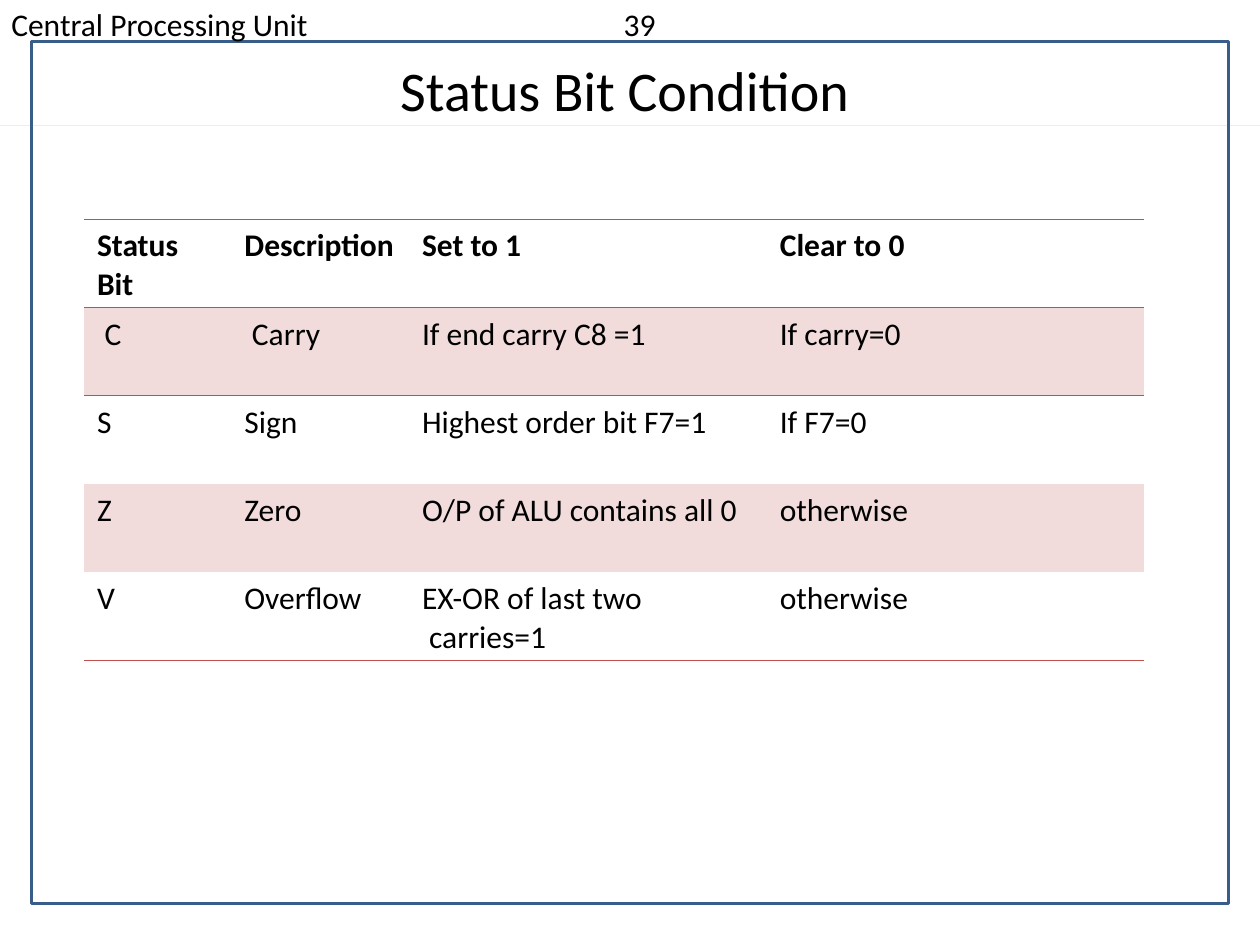
from lxml.etree import SubElement
from pptx import Presentation
from pptx.dml.color import RGBColor
from pptx.enum.shapes import MSO_SHAPE
from pptx.enum.text import PP_ALIGN
from pptx.oxml.ns import qn
from pptx.util import Emu, Inches, Pt

FONT = "Calibri"
BLACK, FRAME_BLUE, RULE_BLUE = "000000", "385D89", "497DBA"
RED, PINK = "C0504D", "F2DCDB"

# Frame edges shared by the border and the rules under the title
LEFT, RIGHT, TOP, BOTTOM = 0.25, 9.75, 0.33, 7.17
RULES = [(1.04, 1.05), (1.07, 1.10), (1.11, 1.13)]

COLUMNS = [1.01, 1.56, 2.78, 3.06]
INDENTS = [0.10, 0.26, 0.11, 0.17]
ROW_HEIGHT = 0.7
ROWS = [
    ["Status\nBit", "Description", "Set to 1", "Clear to 0"],
    ["C", "Carry", "If end carry C8 =1", "If carry=0"],
    ["S", "Sign", "Highest order bit F7=1", "If F7=0"],
    ["Z", "Zero", "O/P of ALU contains all 0", "otherwise"],
    ["V", "Overflow", "EX-OR of last two\v carries=1", "otherwise"],
]
CARRY_ROW, CARRY_SHIFT = 1, 0.06
# Row boundaries that carry a red line, counted from the table top
LINED = {0, 1, 2, len(ROWS)}


def color(hex_code):
    return RGBColor.from_string(hex_code)


def style(p, size, bold=False):
    p.font.name = FONT
    p.font.size = Pt(size)
    p.font.bold = bold
    p.font.color.rgb = color(BLACK)


def add_text(s, text, left, top, width, height, size, align=PP_ALIGN.LEFT):
    box = s.shapes.add_textbox(*map(Inches, (left, top, width, height)))
    tf = box.text_frame
    tf.word_wrap = True
    tf.margin_left = tf.margin_right = tf.margin_bottom = 0
    tf.margin_top = Inches(0.02)
    p = tf.paragraphs[0]
    p.text = text
    p.alignment = align
    style(p, size)


def add_frame(s):
    sp = s.shapes.add_shape(
        MSO_SHAPE.RECTANGLE,
        *map(Inches, (LEFT, TOP, RIGHT - LEFT, BOTTOM - TOP)))
    sp.shadow.inherit = False
    sp.fill.background()
    sp.line.color.rgb = color(FRAME_BLUE)
    sp.line.width = Pt(2)


def add_title_rules(s):
    builder = s.shapes.build_freeform(LEFT, RULES[0][0], scale=Inches(1))
    for top, bottom in RULES:
        builder.move_to(LEFT, top)
        builder.add_line_segments(
            [(LEFT, bottom), (RIGHT, bottom), (RIGHT, top)], close=True)
    sp = builder.convert_to_shape()
    sp.shadow.inherit = False
    sp.fill.solid()
    sp.fill.fore_color.rgb = color(RULE_BLUE)
    sp.line.fill.background()


def set_borders(cell, row):
    lined = {"lnT": row in LINED, "lnB": row + 1 in LINED}
    tcPr = cell._tc.get_or_add_tcPr()
    for i, side in enumerate(("lnL", "lnR", "lnT", "lnB")):
        ln = SubElement(tcPr, qn(f"a:{side}"), w=str(Pt(1)))
        if lined.get(side):
            fill = SubElement(ln, qn("a:solidFill"))
            SubElement(fill, qn("a:srgbClr"), val=RED)
        else:
            SubElement(ln, qn("a:noFill"))
        tcPr.insert(i, ln)  # borders come before the fill


def fill_cell(cell, text, row, col):
    shift = CARRY_SHIFT if row == CARRY_ROW and col < 2 else 0
    cell.margin_left = Inches(INDENTS[col] + shift)
    cell.margin_right = cell.margin_bottom = 0
    cell.margin_top = Inches(0.06)
    cell.text = text
    for p in cell.text_frame.paragraphs:
        style(p, 18, bold=row == 0)
    if row % 2:
        cell.fill.solid()
        cell.fill.fore_color.rgb = color(PINK)
    else:
        cell.fill.background()
    set_borders(cell, row)


def add_status_table(s):
    table = s.shapes.add_table(
        len(ROWS), len(COLUMNS), Inches(0.67), Inches(1.74),
        Inches(sum(COLUMNS)), Inches(ROW_HEIGHT * len(ROWS))).table
    table.first_row = table.horz_banding = False
    for column, width in zip(table.columns, COLUMNS):
        column.width = Inches(width)
    for r, texts in enumerate(ROWS):
        table.rows[r].height = Emu(Inches(ROW_HEIGHT))
        for c, text in enumerate(texts):
            fill_cell(table.cell(r, c), text, r, c)


def main():
    prs = Presentation()
    prs.slide_width, prs.slide_height = Inches(10), Inches(7.5)
    s = prs.slides.add_slide(prs.slide_layouts[6])

    # Frame and running header
    add_frame(s)
    add_text(s, "Central Processing Unit", 0.09, 0.02, 2.5, 0.33, 18)
    add_text(s, "39", 4.95, 0.02, 0.28, 0.33, 18)

    # Title with its rules
    add_title_rules(s)
    add_text(s, "Status Bit Condition", 3.06, 0.42, 3.8, 0.56, 32,
             PP_ALIGN.CENTER)

    # Status bits
    add_status_table(s)
    prs.save("out.pptx")


if __name__ == "__main__":
    main()
